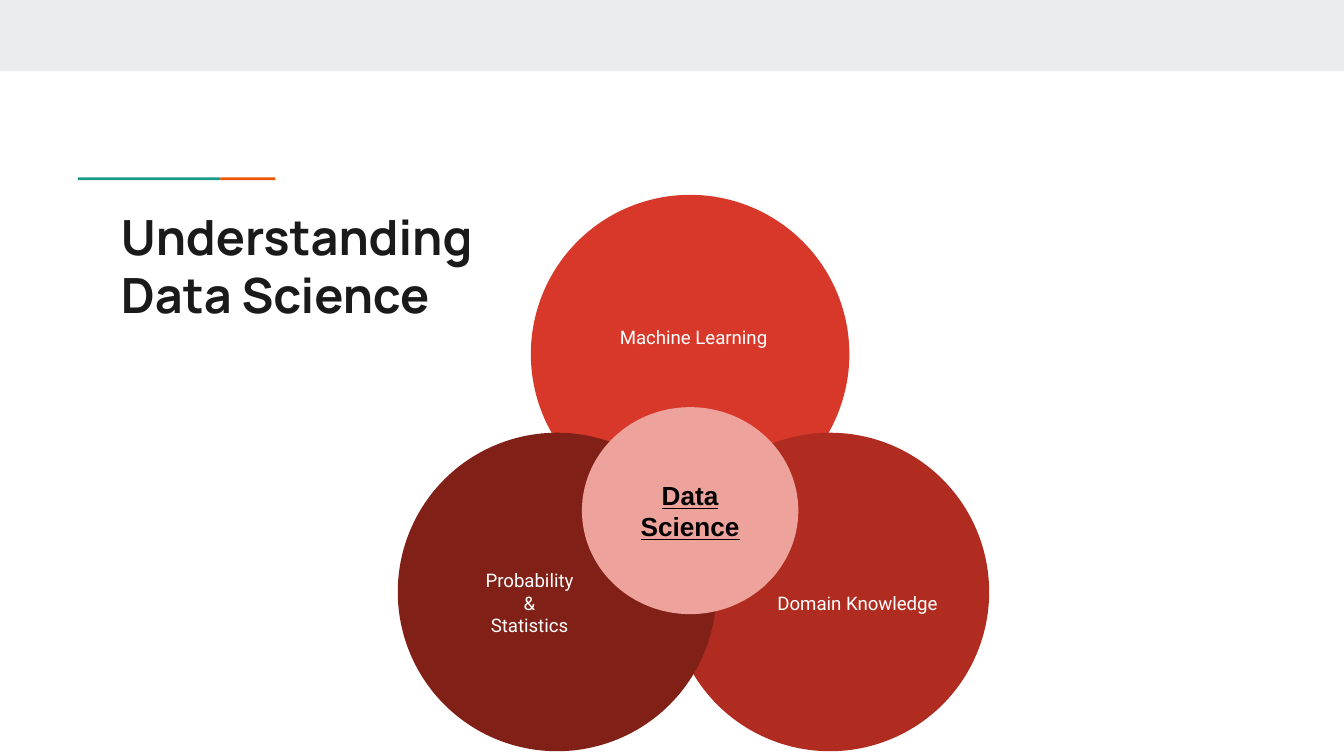
from dataclasses import dataclass
from pptx import Presentation
from pptx.dml.color import RGBColor
from pptx.enum.shapes import MSO_SHAPE
from pptx.enum.text import MSO_ANCHOR, MSO_AUTO_SIZE, PP_ALIGN
from pptx.util import Inches, Pt

WHITE = RGBColor(0xFF, 0xFF, 0xFF)
BLACK = RGBColor(0, 0, 0)
INK = RGBColor(0x1A, 0x1A, 0x1A)
BAND = RGBColor(0xE9, 0xED, 0xEE)
TEAL = RGBColor(0x1A, 0x99, 0x88)
ORANGE = RGBColor(0xEB, 0x56, 0x00)
RED = RGBColor(0xD8, 0x38, 0x29)
BRICK = RGBColor(0xB0, 0x2C, 0x20)
MAROON = RGBColor(0x80, 0x20, 0x17)
PINK = RGBColor(0xED, 0xA2, 0x9B)
DIAMETER = 2.37


@dataclass
class Field:
    x: float
    y: float
    color: RGBColor
    label_x: float
    label_y: float
    lines: list[str]


@dataclass
class Style:
    font: str
    size: int
    color: RGBColor
    bold: bool = False
    underline: bool = False


LABEL = Style("Roboto", 10, WHITE)
CENTER = Style("Arial", 14, BLACK, True, True)
TITLE = Style("Manrope", 26, INK, True)

FIELDS = [
    Field(3.95, 1.45, RED, 4.34, 2.12, ["Machine Learning"]),
    Field(4.99, 3.22, BRICK, 5.56, 4.1, ["Domain Knowledge"]),
    Field(2.96, 3.22, MAROON, 3.12, 4.1, ["Probability", "&", "Statistics"]),
]


def add_filled(s, kind, x: float, y: float, w: float, h: float, color: RGBColor):
    sp = s.shapes.add_shape(kind, Inches(x), Inches(y), Inches(w), Inches(h))
    sp.shadow.inherit = False
    sp.fill.solid()
    sp.fill.fore_color.rgb = color
    sp.line.fill.background()
    return sp


def write(sp, lines: list[str], style: Style, align=PP_ALIGN.CENTER,
          anchor=MSO_ANCHOR.MIDDLE) -> None:
    tf = sp.text_frame
    tf.word_wrap = True
    tf.auto_size = MSO_AUTO_SIZE.NONE
    tf.vertical_anchor = anchor
    tf.margin_left = tf.margin_right = Inches(0.1)
    tf.margin_top = tf.margin_bottom = Inches(0.1)
    for i, line in enumerate(lines):
        p = tf.paragraphs[0] if i == 0 else tf.add_paragraph()
        p.alignment = align
        p.line_spacing = 1.0
        p.space_before = p.space_after = Pt(0)
        r = p.add_run()
        r.text = line
        r.font.name = style.font
        r.font.size = Pt(style.size)
        r.font.color.rgb = style.color
        r.font.bold = style.bold
        r.font.underline = style.underline


prs = Presentation()
prs.slide_width = Inches(10)
prs.slide_height = prs.slide_width * 9 // 16
s = prs.slides.add_slide(prs.slide_layouts[5])

add_filled(s, MSO_SHAPE.RECTANGLE, 0, 0, 10, 0.53, BAND)
add_filled(s, MSO_SHAPE.RECTANGLE, 0.58, 1.32, 1.06, 0.02, TEAL)
add_filled(s, MSO_SHAPE.RECTANGLE, 1.64, 1.32, 0.41, 0.02, ORANGE)

title = s.shapes.title
title.left, title.top = Inches(0.8), Inches(1.44)
title.width, title.height = Inches(8.41), Inches(0.59)
write(title, ["Understanding ", "Data Science"], TITLE, PP_ALIGN.LEFT, MSO_ANCHOR.TOP)

for field in FIELDS:
    add_filled(s, MSO_SHAPE.OVAL, field.x, field.y, DIAMETER, DIAMETER, field.color)
    label = s.shapes.add_textbox(Inches(field.label_x), Inches(field.label_y), Inches(1.64), Inches(0.77))
    write(label, field.lines, LABEL)

core = add_filled(s, MSO_SHAPE.OVAL, 4.33, 3.03, 1.61, 1.54, PINK)
write(core, ["Data Science"], CENTER)

prs.save("out.pptx")
